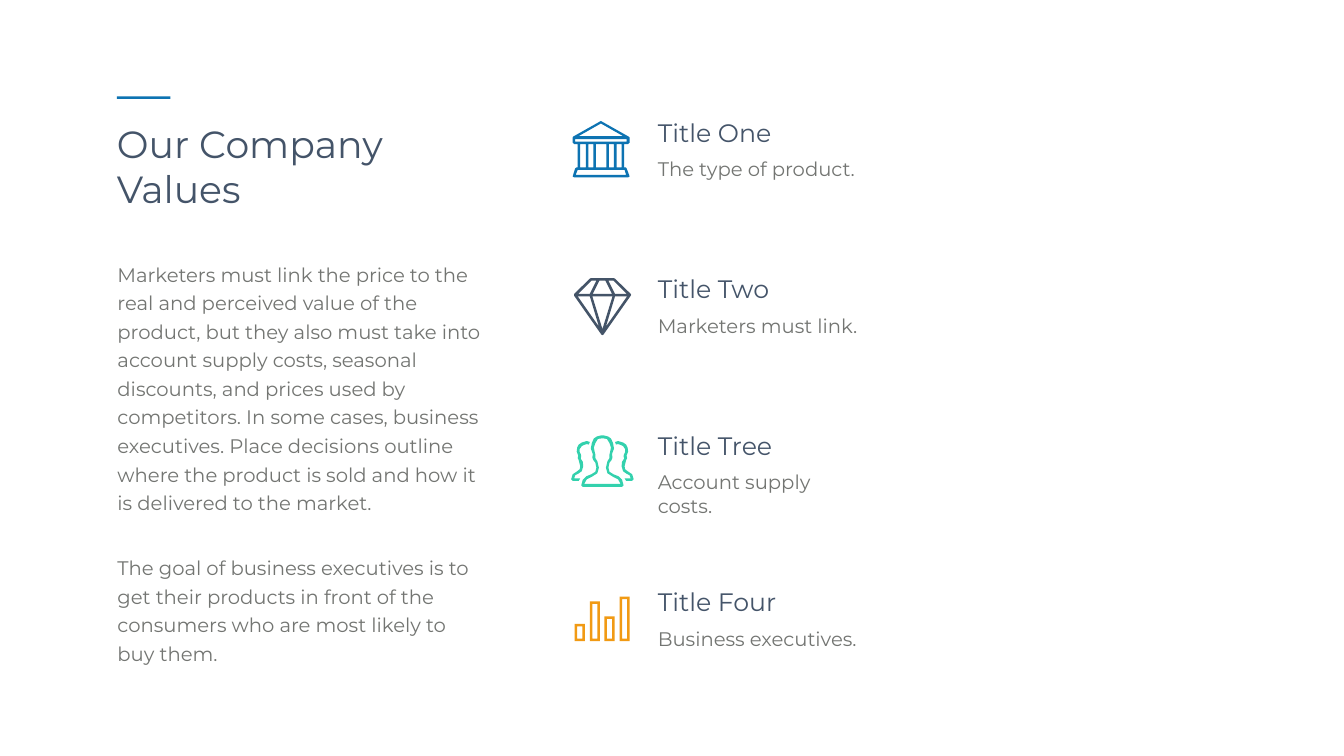
from lxml import etree
from pptx import Presentation
from pptx.dml.color import RGBColor
from pptx.enum.shapes import MSO_SHAPE
from pptx.enum.text import MSO_ANCHOR, MSO_AUTO_SIZE, PP_ALIGN
from pptx.oxml.ns import qn
from pptx.util import Inches, Pt

FONT = "Montserrat"
NAVY = RGBColor(0x44, 0x54, 0x69)
GRAY = RGBColor(0x73, 0x75, 0x72)
BLUE = RGBColor(0x0D, 0x73, 0xB2)
SLATE = RGBColor(0x44, 0x54, 0x68)
GREEN = RGBColor(0x33, 0xD1, 0xAD)
ORANGE = RGBColor(0xF1, 0x9A, 0x14)


def add_text(p, text, size, color):
    r = p.add_run()
    r.text = text
    r.font.name = FONT
    r.font.size = Pt(size)
    r.font.color.rgb = color


def box(left, top, right, bottom):
    """Corner points of a rectangular contour."""
    return [(left, top), (right, top), (right, bottom), (left, bottom)]


prs = Presentation()
prs.slide_width, prs.slide_height = Inches(26.66), Inches(15)
s = prs.slides.add_slide(prs.slide_layouts[1])
title, body = s.shapes.title, s.placeholders[1]

# Heading and accent bar
title.left, title.top = Inches(2.22), Inches(2.34)
title.width, title.height = Inches(5.72), Inches(1.92)
tf = title.text_frame
tf.auto_size = MSO_AUTO_SIZE.NONE
tf.vertical_anchor = MSO_ANCHOR.TOP
tf.paragraphs[0].alignment = PP_ALIGN.LEFT
add_text(tf.paragraphs[0], "Our Company Values", 54, NAVY)

bar = s.shapes.add_shape(MSO_SHAPE.RECTANGLE, Inches(2.32), Inches(1.91), Inches(1.06), Inches(0.05))
bar.shadow.inherit = False
bar.fill.solid()
bar.fill.fore_color.rgb = BLUE
bar.line.fill.background()

# Body text
body.left, body.top = Inches(2.09), Inches(4.99)
body.width, body.height = Inches(7.73), Inches(8.43)
tf = body.text_frame
tf.auto_size = MSO_AUTO_SIZE.NONE
tf.margin_left = tf.margin_right = Inches(0.24)
tf.margin_top = tf.margin_bottom = Inches(0.12)
paragraphs = [
    ("Marketers must link the price to the real and perceived value of the product, "
     "but they also must take into account supply costs, seasonal discounts, and prices "
     "used by competitors. In some cases, business executives. Place decisions outline "
     "where the product is sold and how it is delivered to the market.", 0),
    ("The goal of business executives is to get their products in front of the "
     "consumers who are most likely to buy them.", 52),
]
for i, (text, space) in enumerate(paragraphs):
    p = tf.paragraphs[0] if i == 0 else tf.add_paragraph()
    pPr = p._p.get_or_add_pPr()
    pPr.set("marL", "0")
    pPr.set("indent", "0")
    etree.SubElement(pPr, qn("a:buNone"))
    p.line_spacing = Pt(40.8)
    p.space_before = Pt(space)
    add_text(p, text, 28, GRAY)

# Icon contours: outlines first, then the openings cut out of them
bank = [
    [(11.92, 2.4), (12.47, 2.71), (12.49, 2.73), (12.49, 2.83), (12.46, 2.86),
     (12.38, 2.86), (12.38, 3.32), (12.41, 3.32), (12.43, 3.34), (12.49, 3.5),
     (12.46, 3.52), (11.39, 3.52), (11.36, 3.5), (11.41, 3.34), (11.44, 3.32),
     (11.46, 3.32), (11.46, 2.86), (11.39, 2.86), (11.36, 2.83), (11.36, 2.73),
     (11.37, 2.71)],
    [(11.92, 2.45), (12.36, 2.7), (11.48, 2.7)],
    box(11.41, 2.76, 12.43, 2.81),
    [(11.46, 3.37), (12.39, 3.37), (12.42, 3.47), (11.42, 3.47)],
]
for left, right in [(11.51, 11.62), (11.67, 11.77), (11.82, 12.03), (12.08, 12.18), (12.23, 12.33)]:
    bank.append(box(left, 2.86, right, 3.32))

diamond = [
    [(11.72, 5.52), (12.18, 5.52), (12.2, 5.53), (12.51, 5.83), (12.52, 5.85),
     (12.51, 5.87), (11.97, 6.64), (11.95, 6.65), (11.93, 6.64), (11.39, 5.87),
     (11.39, 5.83), (11.7, 5.53)],
    [(12.02, 6.48), (12.2, 5.88), (12.44, 5.88)],
    [(11.95, 6.53), (11.75, 5.88), (12.15, 5.88)],
    [(11.46, 5.88), (11.7, 5.88), (11.88, 6.48)],
    [(11.73, 5.57), (11.83, 5.57), (11.7, 5.83), (11.47, 5.83)],
    [(12.01, 5.57), (12.14, 5.83), (11.76, 5.83), (11.89, 5.57)],
    [(12.17, 5.57), (12.43, 5.83), (12.2, 5.83), (12.07, 5.57)],
]

# The people icon is mirrored about its centre line
AXIS = 11.95
outer_half = [
    (11.98, 8.64), (12.06, 8.66), (12.12, 8.7), (12.16, 8.79), (12.18, 8.9),
    (12.14, 9.01), (12.15, 9.08), (12.13, 9.13), (12.09, 9.18), (12.07, 9.28),
    (12.09, 9.36), (12.17, 9.41), (12.27, 9.45), (12.34, 9.52), (12.37, 9.63),
    (12.34, 9.66)]
inner_half = [
    (11.98, 8.7), (12.04, 8.71), (12.09, 8.79), (12.12, 8.88), (12.1, 8.98),
    (12.09, 9.02), (12.09, 9.09), (12.05, 9.15), (12.02, 9.28), (12.05, 9.39),
    (12.16, 9.46), (12.26, 9.51), (12.31, 9.6)]
side_person = [
    (12.45, 9.35), (12.4, 9.31), (12.39, 9.25), (12.42, 9.13), (12.44, 9.09),
    (12.43, 9.04), (12.46, 8.96), (12.45, 8.88), (12.42, 8.82), (12.36, 8.78),
    (12.26, 8.75), (12.2, 8.77), (12.22, 8.82), (12.26, 8.81), (12.32, 8.83),
    (12.36, 8.85), (12.4, 8.91), (12.4, 8.97), (12.38, 9.01), (12.37, 9.05),
    (12.38, 9.1), (12.34, 9.16), (12.33, 9.25), (12.36, 9.35), (12.43, 9.4),
    (12.49, 9.43), (12.51, 9.49), (12.39, 9.49), (12.42, 9.54), (12.54, 9.54),
    (12.57, 9.51), (12.54, 9.41)]
outer_left, inner_left, side_left = [
    [(2 * AXIS - x, y) for x, y in reversed(half)]
    for half in (outer_half, inner_half, side_person)]
people = [outer_half + outer_left, inner_half + inner_left, side_person, side_left]

bars = []
for left, top in [(11.4, 12.38), (11.7, 11.93), (11.99, 12.23), (12.29, 11.84)]:
    bars.append(box(left, top, left + 0.2, 12.72))
    bars.append(box(left + 0.05, top + 0.05, left + 0.15, 12.67))

# Value rows: icon, heading and caption
rows = [
    ("Title One", "The type of product.", bank, BLUE),
    ("Title Two", "Marketers must link.", diamond, SLATE),
    ("Title Tree", "Account supply costs.", people, GREEN),
    ("Title Four", "Business executives.", bars, ORANGE),
]
PITCH = 9.32 / 3
for i, (heading, caption, contours, color) in enumerate(rows):
    top = 2.27 + i * PITCH
    row = s.shapes.add_group_shape()
    for text, y, width, height, size, text_color in [
            (heading, top, 4.05, 0.71, 36, NAVY), (caption, top + 0.8, 4.2, 0.57, 28, GRAY)]:
        tb = row.shapes.add_textbox(Inches(12.95), Inches(y), Inches(width), Inches(height))
        tb.text_frame.word_wrap = False
        add_text(tb.text_frame.paragraphs[0], text, size, text_color)

    builder = None
    for contour in contours:
        points = [(Inches(x), Inches(y)) for x, y in contour]
        if builder is None:
            builder = row.shapes.build_freeform(*points[0])
        else:
            builder.move_to(*points[0])
        builder.add_line_segments(points[1:], close=True)
    icon = builder.convert_to_shape()
    icon.shadow.inherit = False
    icon.fill.solid()
    icon.fill.fore_color.rgb = color
    icon.line.fill.background()

prs.save("out.pptx")
